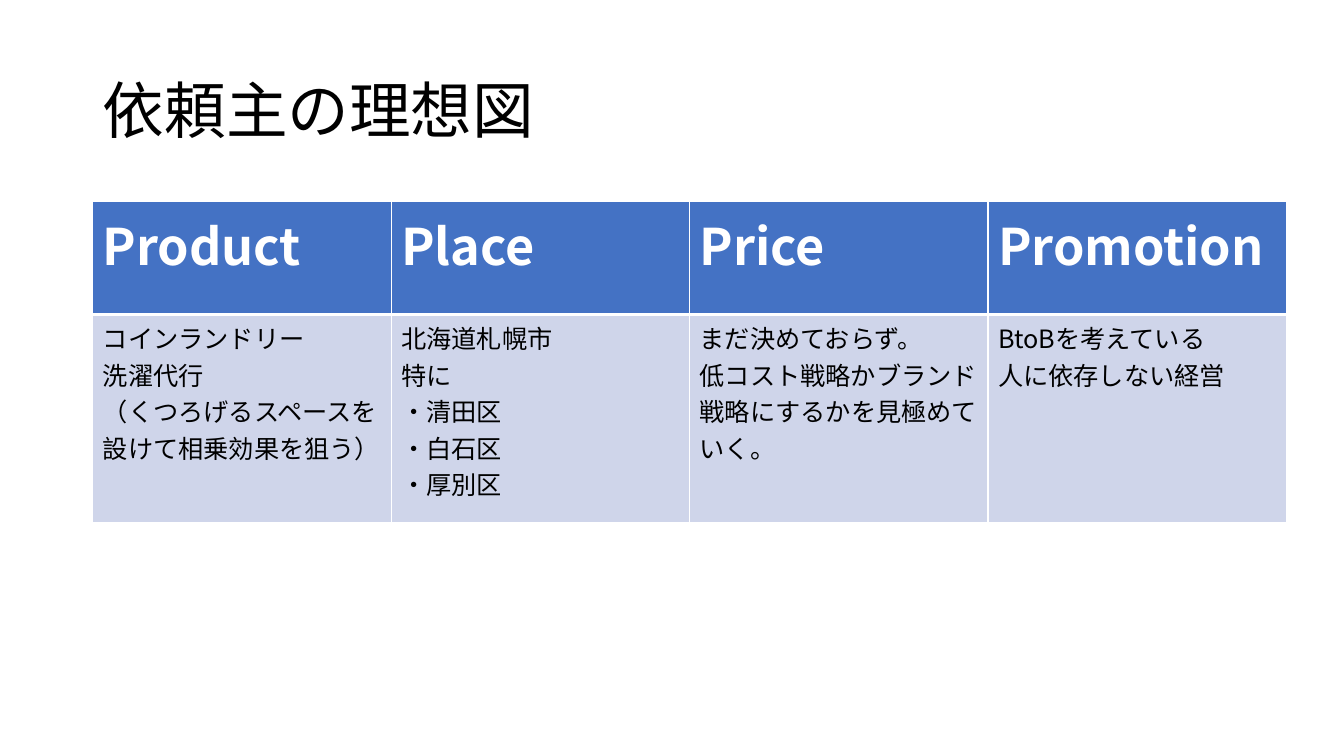
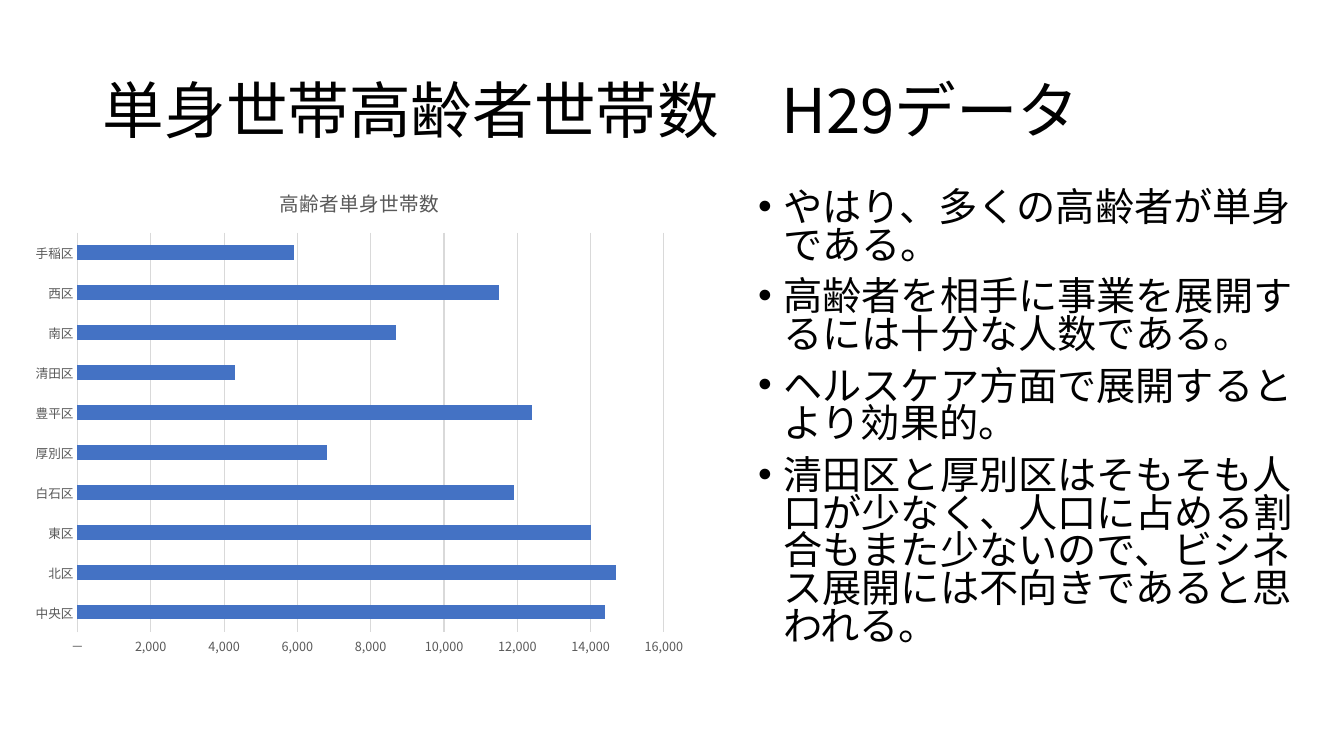
"""Build two slides: a marketing-mix table and a household chart with remarks."""
from typing import NamedTuple

from lxml import etree
from pptx import Presentation
from pptx import util as u
from pptx.chart.data import CategoryChartData
from pptx.dml.color import RGBColor
from pptx.enum import chart as charts
from pptx.enum import text
from pptx.oxml.ns import qn

FONT = "Noto Sans CJK JP"
BLACK = RGBColor(0x00, 0x00, 0x00)
WHITE = RGBColor(0xFF, 0xFF, 0xFF)
BLUE = RGBColor(0x44, 0x72, 0xC4)
PALE_BLUE = RGBColor(0xCF, 0xD5, 0xEA)
GREY = RGBColor(0x59, 0x59, 0x59)
LIGHT_GREY = RGBColor(0xD9, 0xD9, 0xD9)


class Box(NamedTuple):
    left: float
    top: float
    width: float
    height: float

    def lengths(self) -> list:
        return [u.Inches(value) for value in self]


class TextStyle(NamedTuple):
    size: float
    color: RGBColor
    bold: bool = False


class CellStyle(NamedTuple):
    text: TextStyle
    fill: RGBColor
    bottom_border: float


class MixColumn(NamedTuple):
    heading: str
    details: str


TITLE_BOX = Box(0.92, 0.4, 11.5, 1.45)
TABLE_BOX = Box(0.92, 2, 11.84, 3.18)
CHART_BOX = Box(0.22, 1.66, 6.69, 4.93)
REMARKS_BOX = Box(7.42, 1.85, 5.69, 4.73)
ROW_HEIGHTS = (1.12, 2.06)

TITLE_TEXT = TextStyle(44, BLACK)
REMARK_TEXT = TextStyle(28, BLACK)
AXIS_TEXT = TextStyle(9, GREY)
CHART_TITLE_TEXT = TextStyle(14, GREY)
HEADING_CELL = CellStyle(TextStyle(36, WHITE, True), BLUE, 3)
DETAIL_CELL = CellStyle(TextStyle(18, BLACK), PALE_BLUE, 1)

MARKETING_MIX = (
    MixColumn("Product", "コインランドリー\n洗濯代行\n（くつろげるスペースを設けて相乗効果を狙う）"),
    MixColumn("Place", "北海道札幌市\n特に\n・清田区\n・白石区\n・厚別区"),
    MixColumn("Price", "まだ決めておらず。\n低コスト戦略かブランド戦略にするかを見極めていく。"),
    MixColumn("Promotion", "BtoBを考えている\n人に依存しない経営"),
)
CHART_NAME = "高齢者単身世帯数"
HOUSEHOLDS = {
    "中央区": 14400,
    "北区": 14700,
    "東区": 14000,
    "白石区": 11900,
    "厚別区": 6800,
    "豊平区": 12400,
    "清田区": 4300,
    "南区": 8700,
    "西区": 11500,
    "手稲区": 5900,
}
REMARKS = (
    "やはり、多くの高齢者が単身である。",
    "高齢者を相手に事業を展開するには十分な人数である。",
    "ヘルスケア方面で展開するとより効果的。",
    "清田区と厚別区はそもそも人口が少なく、人口に占める割合もまた少ないので、"
    "ビシネス展開には不向きであると思われる。",
)


def style_font(font, style: TextStyle) -> None:
    """Apply a text style to a font."""
    font.name = FONT
    font.size = u.Pt(style.size)
    font.bold = style.bold
    font.color.rgb = style.color


def add_east_asian_font(element) -> None:
    """Give every Latin font setting its East Asian counterpart."""
    for latin in list(element.iter(qn("a:latin"))):
        latin.addnext(latin.makeelement(qn("a:ea"), {"typeface": FONT}))


def write_text(text_frame, content: str, style: TextStyle) -> None:
    """Fill a text frame and format its runs."""
    text_frame.text = content
    for paragraph in text_frame.paragraphs:
        for run in paragraph.runs:
            style_font(run.font, style)


def fill_placeholder(shape, box: Box, content: str, style: TextStyle,
                     anchor, line_spacing: float) -> None:
    """Move a placeholder and set its text."""
    shape.left, shape.top, shape.width, shape.height = box.lengths()
    text_frame = shape.text_frame
    write_text(text_frame, content, style)
    text_frame.word_wrap = True
    text_frame.auto_size = text.MSO_AUTO_SIZE.NONE
    text_frame.vertical_anchor = anchor
    for paragraph in text_frame.paragraphs:
        paragraph.alignment = text.PP_ALIGN.LEFT
        paragraph.line_spacing = line_spacing
    add_east_asian_font(shape._element)


def add_titled_slide(presentation, layout_index: int, title: str):
    """Add a slide with the shared title style."""
    slide = presentation.slides.add_slide(presentation.slide_layouts[layout_index])
    fill_placeholder(slide.shapes.title, TITLE_BOX, title, TITLE_TEXT,
                     text.MSO_ANCHOR.MIDDLE, 0.9)
    return slide


def add_border(cell, side: str, points: float) -> None:
    """Draw one white cell border."""
    properties = cell._tc.get_or_add_tcPr()
    line = etree.SubElement(properties, qn(f"a:ln{side}"), w=str(u.Pt(points)))
    fill = etree.SubElement(line, qn("a:solidFill"))
    etree.SubElement(fill, qn("a:srgbClr"), val=str(WHITE))


def fill_cell(cell, content: str, style: CellStyle, top_border: float) -> None:
    """Set the text, borders and fill of a table cell."""
    write_text(cell.text_frame, content, style.text)
    for side, points in zip("LRTB", (1, 1, top_border, style.bottom_border)):
        add_border(cell, side, points)
    cell.fill.solid()
    cell.fill.fore_color.rgb = style.fill


def add_mix_table(slide) -> None:
    """Add the marketing-mix table."""
    frame = slide.shapes.add_table(2, len(MARKETING_MIX), *TABLE_BOX.lengths())
    table = frame.table
    for row, height in zip(table.rows, ROW_HEIGHTS):
        row.height = u.Inches(height)
    for index, column in enumerate(MARKETING_MIX):
        table.columns[index].width = u.Inches(TABLE_BOX.width / len(MARKETING_MIX))
        fill_cell(table.cell(0, index), column.heading, HEADING_CELL, 1)
        fill_cell(table.cell(1, index), column.details, DETAIL_CELL,
                  HEADING_CELL.bottom_border)
    add_east_asian_font(frame._element)


def style_axis(axis) -> None:
    """Apply the shared axis look."""
    axis.major_tick_mark = charts.XL_TICK_MARK.NONE
    axis.minor_tick_mark = charts.XL_TICK_MARK.NONE
    style_font(axis.tick_labels.font, AXIS_TEXT)


def style_line(line) -> None:
    """Apply the thin grey chart line."""
    line.color.rgb = LIGHT_GREY
    line.width = u.Pt(0.75)


def add_household_chart(slide) -> None:
    """Add the bar chart of single elderly households."""
    data = CategoryChartData()
    data.categories = list(HOUSEHOLDS)
    data.add_series(CHART_NAME, list(HOUSEHOLDS.values()))
    chart = slide.shapes.add_chart(charts.XL_CHART_TYPE.BAR_CLUSTERED,
                                   *CHART_BOX.lengths(), data).chart
    style_font(chart.font, TextStyle(10, BLACK))
    chart.has_legend = False
    chart.has_title = True
    write_text(chart.chart_title.text_frame, CHART_NAME, CHART_TITLE_TEXT)
    chart.chart_title.include_in_layout = False

    plot = chart.plots[0]
    plot.gap_width = 182
    plot.vary_by_categories = False
    bars = plot.series[0].format.fill
    bars.solid()
    bars.fore_color.rgb = BLUE

    style_axis(chart.category_axis)
    style_line(chart.category_axis.format.line)
    values = chart.value_axis
    style_axis(values)
    values.minimum_scale, values.maximum_scale, values.major_unit = 0, 16000, 2000
    values.format.line.fill.background()
    values.has_major_gridlines = True
    style_line(values.major_gridlines.format.line)
    values.tick_labels.number_format = '#,##0;"△"#,##0;"－"'
    values.tick_labels.number_format_is_linked = False
    add_east_asian_font(chart._chartSpace)


def add_remarks(slide) -> None:
    """Fill the body placeholder with bulleted remarks."""
    body = slide.placeholders[1]
    fill_placeholder(body, REMARKS_BOX, "\n".join(REMARKS), REMARK_TEXT,
                     text.MSO_ANCHOR.TOP, 0.8)
    for paragraph in body.text_frame.paragraphs:
        paragraph.space_before = u.Pt(10)
        properties = paragraph._p.get_or_add_pPr()
        properties.set("marL", str(u.Inches(0.25)))
        properties.set("indent", str(u.Inches(-0.25)))
        etree.SubElement(properties, qn("a:buFont"), typeface="Arial")
        etree.SubElement(properties, qn("a:buChar"), char="•")


def main() -> None:
    """Build and save the presentation."""
    presentation = Presentation()
    presentation.slide_width = u.Inches(13.33)
    presentation.slide_height = u.Inches(7.5)
    add_mix_table(add_titled_slide(presentation, 5, "依頼主の理想図"))
    slide = add_titled_slide(presentation, 1, "単身世帯高齢者世帯数　H29データ")
    add_remarks(slide)
    add_household_chart(slide)
    presentation.save("out.pptx")


if __name__ == "__main__":
    main()
